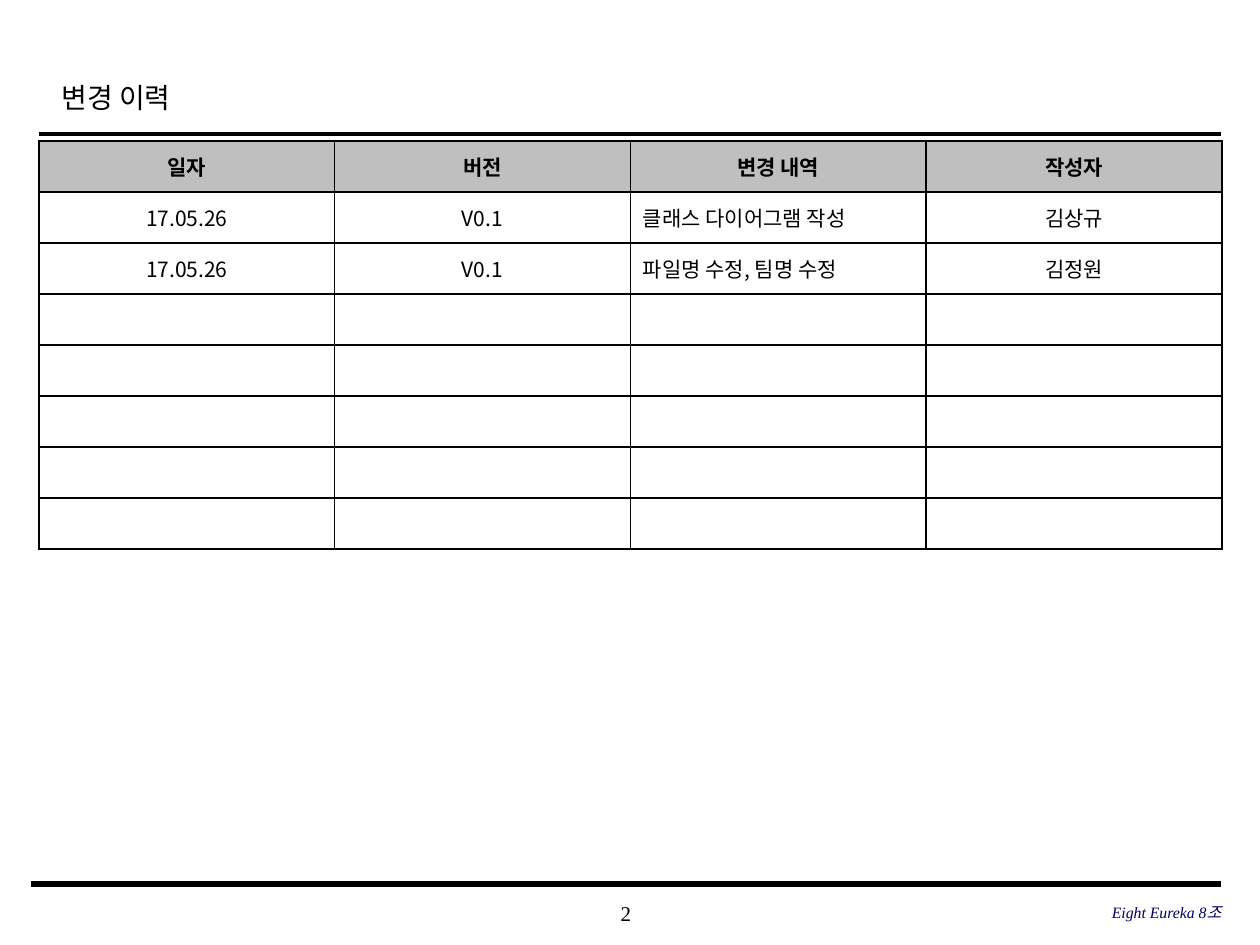
from lxml.etree import SubElement
from pptx import Presentation
from pptx.dml.color import RGBColor
from pptx.enum.shapes import MSO_CONNECTOR
from pptx.enum.text import MSO_ANCHOR as ANCHOR, PP_ALIGN as ALIGN
from pptx.oxml import parse_xml
from pptx.oxml.ns import nsdecls, qn
from pptx.util import Emu, Pt

PX = 914400 // 126
BLACK = RGBColor(0x00, 0x00, 0x00)
WHITE = RGBColor(0xFF, 0xFF, 0xFF)
HEADER_GRAY = RGBColor(0xBF, 0xBF, 0xBF)
NAVY = RGBColor(0x00, 0x00, 0x66)
SERIF = "Times New Roman"
KOREAN = "Noto Sans CJK KR"


def px(*lengths):
    return [Emu(n * PX) for n in lengths]


def write(frame, text, align, color=BLACK, **font):
    frame.vertical_anchor = ANCHOR.MIDDLE
    frame.word_wrap = True
    line = frame.paragraphs[0]
    line.alignment = align
    run = line.add_run()
    run.text = text
    run.font.color.rgb = color
    for key, value in font.items():
        setattr(run.font, key, value)
    SubElement(run._r.get_or_add_rPr(), qn("a:ea"), typeface=KOREAN)


deck = Presentation()
deck.slide_width, deck.slide_height = px(1260, 945)
slide = deck.slides.add_slide(deck.slide_layouts[5])
shapes = slide.shapes

# Title
title = shapes.title
title.left, title.top, title.width, title.height = px(49, 62, 951, 63)
write(title.text_frame, "변경 이력", ALIGN.LEFT, size=Pt(16), name=SERIF)
title.text_frame.paragraphs[0].line_spacing = 1.2

# Rules above the table and above the footer
for left, y, weight in [(39, 134, 2.5), (31, 884, 3)]:
    rule = shapes.add_connector(MSO_CONNECTOR.STRAIGHT, *px(left, y, 1221, y))
    rule.line.color.rgb = BLACK
    rule.line.width = Pt(weight)
    SubElement(rule._element.spPr, qn("a:effectLst"))

# Footer: page number and team
footers = [
    ((495, 892, 262, 42), "2", ALIGN.CENTER,
     dict(size=Pt(12), name=SERIF)),
    ((835, 891, 386, 42), "Eight Eureka 8조", ALIGN.RIGHT,
     dict(size=Pt(9), name=SERIF, italic=True, color=NAVY)),
]
for box, text, align, font in footers:
    frame = shapes.add_textbox(*px(*box)).text_frame
    for side in ("left", "top", "right", "bottom"):
        setattr(frame, f"margin_{side}", 0)
    write(frame, text, align, **font)

# Change history
history = [
    ("일자", "버전", "변경 내역", "작성자"),
    ("17.05.26", "V0.1", "클래스 다이어그램 작성", "김상규"),
    ("17.05.26", "V0.1", "파일명 수정, 팀명 수정", "김정원"),
]
ROWS, COLS, DETAIL_COL = 8, 4, 2
history += [("",) * COLS] * (ROWS - len(history))
table = shapes.add_table(ROWS, COLS, *px(39, 141, 1183, 408)).table
table.first_row = table.horz_banding = False
for column in table.columns:
    column.width = Emu(1183 * PX // COLS)
for row in table.rows:
    row.height = Emu(51 * PX)

for r, entries in enumerate(history):
    for c, text in enumerate(entries):
        cell = table.cell(r, c)
        header = r == 0
        cell.vertical_anchor = ANCHOR.MIDDLE
        cell.margin_top = cell.margin_bottom = Emu(4 * PX)
        align = ALIGN.LEFT if c == DETAIL_COL and not header else ALIGN.CENTER
        if text:
            write(cell.text_frame, text, align,
                  size=Pt(12), name=KOREAN, bold=header)
        # Borders come before the fill in the cell properties
        for edge in ("lnL", "lnR", "lnT", "lnB"):
            cell._tc.get_or_add_tcPr().append(parse_xml(
                f'<a:{edge} {nsdecls("a")} w="{Pt(1)}"><a:solidFill>'
                f'<a:srgbClr val="{BLACK}"/></a:solidFill></a:{edge}>'))
        cell.fill.solid()
        cell.fill.fore_color.rgb = HEADER_GRAY if header else WHITE

deck.save("out.pptx")
